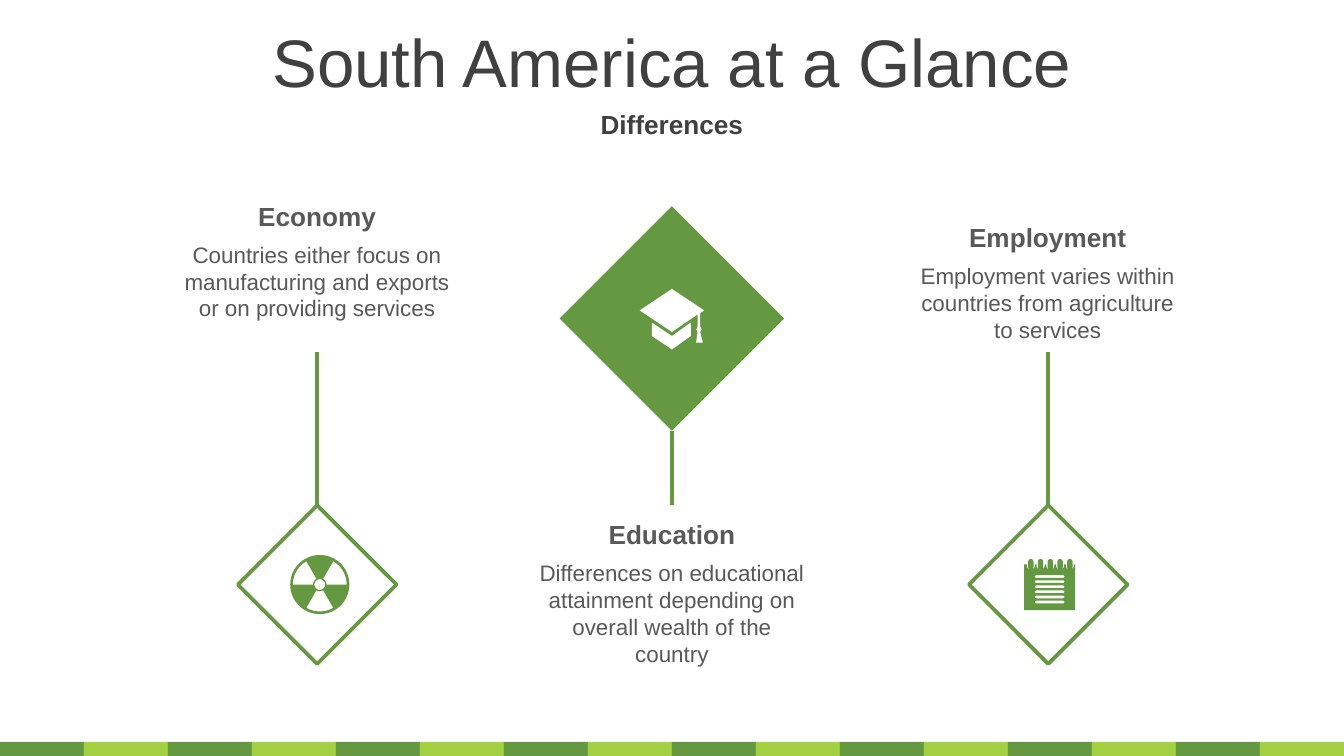
import math
from lxml import etree
from pptx import Presentation
from pptx import util as u
from pptx.dml.color import RGBColor
from pptx.enum import shapes, text
from pptx.oxml import ns

COLOURS = {"green": "649941", "lime": "A4D144", "white": "FFFFFF", "title": "404040", "body": "595959"}
COLOURS = {name: RGBColor.from_string(value) for name, value in COLOURS.items()}


def arc(x, y, radius, start, end, steps=24):
    angles = [math.radians(start + (end - start) * i / steps) for i in range(steps + 1)]
    return [(x + radius * math.cos(a), y + radius * math.sin(a)) for a in angles]


def draw_icon(contours, colour):
    contours = [[(u.Inches(x), u.Inches(y)) for x, y in contour] for contour in contours]
    builder = page.shapes.build_freeform(*contours[0][0])
    for number, contour in enumerate(contours):
        if number:
            builder.move_to(*contour[0])
        builder.add_line_segments(contour[1:], close=True)
    icon = builder.convert_to_shape()
    icon.shadow.inherit = False
    icon.fill.solid()
    icon.fill.fore_color.rgb = COLOURS[colour]
    icon.line.fill.background()


deck = Presentation()
deck.slide_width = u.Inches(10)
deck.slide_height = u.Inches(10 * 9 / 16)
page = deck.slides.add_slide(deck.slide_layouts[6])

stripes = 16
for i in range(stripes):
    stripe = page.shapes.add_shape(shapes.MSO_SHAPE.RECTANGLE, u.Inches(10 / stripes * i),
                                   u.Inches(5.52), u.Inches(10 / stripes), u.Inches(0.11))
    stripe.shadow.inherit = False
    stripe.fill.solid()
    stripe.fill.fore_color.rgb = COLOURS["lime" if i % 2 else "green"]
    stripe.line.fill.background()

for words, top, height, size, bold in [("South America at a Glance", 0.14, 0.63, 36, False),
                                       ("Differences", 0.77, 0.31, 14, True)]:
    box = page.shapes.add_textbox(0, u.Inches(top), u.Inches(10), u.Inches(height))
    box.text_frame.word_wrap = True
    box.text_frame.vertical_anchor = text.MSO_ANCHOR.MIDDLE
    box.text_frame.text = words
    para = box.text_frame.paragraphs[0]
    para.alignment = text.PP_ALIGN.CENTER
    span = para.runs[0]
    span.font.name = "Arial"
    span.font.size = u.Pt(size)
    span.font.bold = bold
    span.font.color.rgb = COLOURS["title"]

for centre, middle, size, fill in [(5, 2.37, 1.67, "green"), (2.36, 4.35, 1.18, "white"),
                                   (7.8, 4.35, 1.18, "white")]:
    diamond = page.shapes.add_shape(shapes.MSO_SHAPE.DIAMOND, u.Inches(centre - size / 2),
                                    u.Inches(middle - size / 2), u.Inches(size), u.Inches(size))
    diamond.shadow.inherit = False
    diamond.fill.solid()
    diamond.fill.fore_color.rgb = COLOURS[fill]
    if fill == "white":
        diamond.line.color.rgb = COLOURS["green"]
        diamond.line.width = u.Pt(2)
    else:
        diamond.line.fill.background()

for x, top in [(5, 3.21), (2.36, 2.62), (7.8, 2.62)]:
    stem = page.shapes.add_connector(shapes.MSO_CONNECTOR.STRAIGHT, u.Inches(x), u.Inches(top),
                                     u.Inches(x), u.Inches(3.76))
    stem.line.color.rgb = COLOURS["green"]
    stem.line.width = u.Pt(2)
    etree.SubElement(stem._element.spPr, ns.qn("a:effectLst"))

topics = [
    ("Economy", "Countries either focus on manufacturing and exports or on providing services",
     1.23, 1.44, 2.26, 1.21),
    ("Education", "Differences on educational attainment depending on overall wealth of the country",
     3.87, 3.81, 2.26, 1.21),
    ("Employment", "Employment varies within countries from agriculture to services",
     6.72, 1.6, 2.15, 1.01),
]
for heading, detail, *place in topics:
    box = page.shapes.add_textbox(*[u.Inches(length) for length in place])
    box.text_frame.word_wrap = True
    box.text_frame.auto_size = text.MSO_AUTO_SIZE.SHAPE_TO_FIT_TEXT
    box.text_frame.text = heading + "\n" + detail
    for para, size, bold, gap in zip(box.text_frame.paragraphs, (14, 12), (True, False), (5, 3)):
        para.alignment = text.PP_ALIGN.CENTER
        para.space_after = u.Pt(gap)
        span = para.runs[0]
        span.font.name = "Arial"
        span.font.size = u.Pt(size)
        span.font.bold = bold
        span.font.color.rgb = COLOURS["body"]

hub = (2.38, 4.35)
blades = [arc(*hub, 0.2, start, start + 60) + arc(*hub, 0.05, start + 60, start)
          for start in (60, 180, 300)]
draw_icon([arc(*hub, 0.22, 0, 360, 60), arc(*hub, 0.04, 0, 360)] + blades, "green")

cap_base = [(4.85, 2.4), (5, 2.5), (5.14, 2.4), (5.14, 2.5), (5, 2.6), (4.85, 2.5)]
cap_top = [(5, 2.15), (5.24, 2.31), (5.21, 2.33), (5.21, 2.43), (5.22, 2.45), (5.21, 2.47),
           (5.23, 2.55), (5.18, 2.55), (5.19, 2.47), (5.18, 2.45), (5.19, 2.43), (5.19, 2.34),
           (5, 2.47), (4.76, 2.31)]
draw_icon([cap_base, cap_top], "white")

ring_centres = [7.67 + 0.29 / 4 * i for i in range(5)]
sheet = [(7.62, 4.2)]
rings = []
for x in ring_centres:
    sheet += [(x - 0.03, 4.2)] + arc(x, 4.21, 0.03, 180, 0, 8) + [(x + 0.03, 4.2)]
    rings.append(arc(x, 4.18, 0.02, 180, 360, 8) + arc(x, 4.22, 0.02, 0, 180, 8))
sheet += [(8, 4.2), (8, 4.54), (7.62, 4.54)]
rules = []
for i in range(6):
    y = 4.29 + 0.19 / 5 * i
    rules.append(arc(7.71, y, 0.01, 90, 270, 8) + arc(7.91, y, 0.01, 270, 450, 8))
draw_icon([sheet] + rules + rings, "green")

deck.save("out.pptx")
